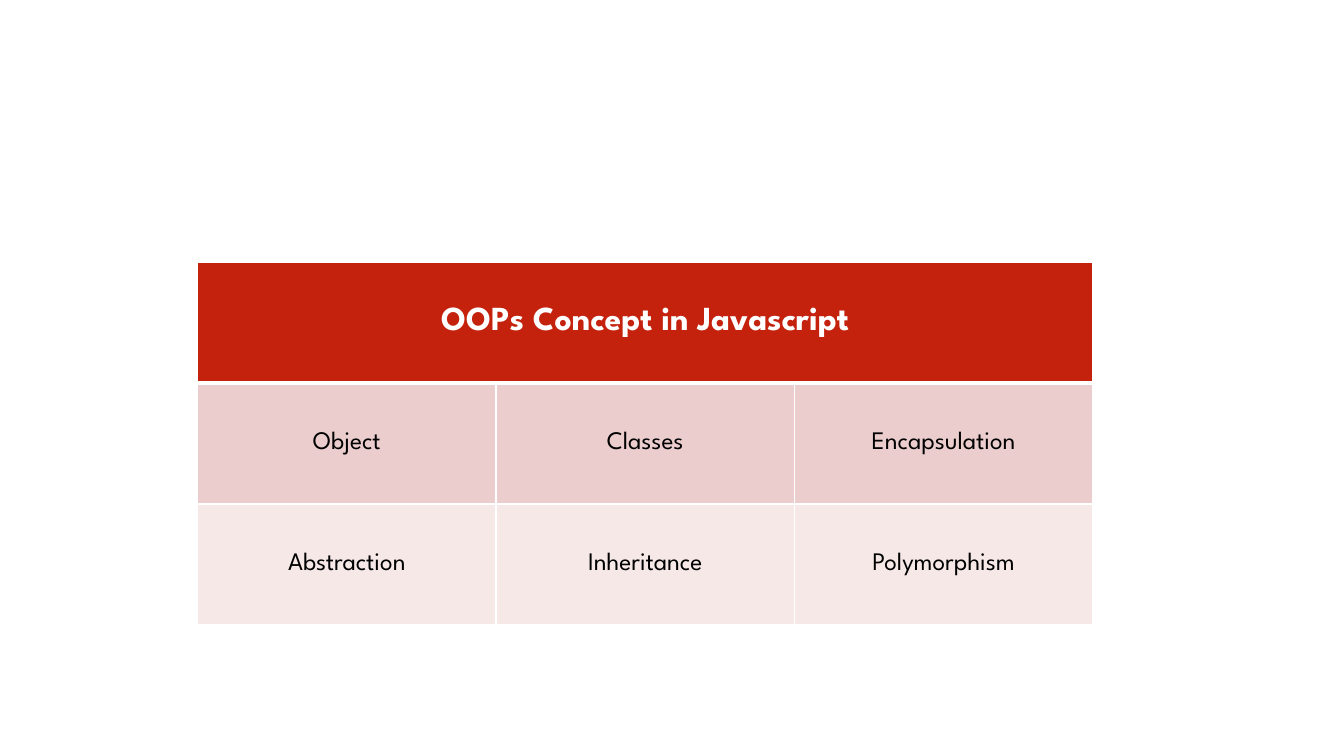
import pptx
import pptx.dml.color
import pptx.enum.text
import pptx.util
from pptx.oxml.ns import qn
from pptx.util import Inches
from lxml import etree

FONT = "League Spartan"
COLORS = {
    "header": "C4220D",
    "band_dark": "EACDCC",
    "band_light": "F5E8E7",
    "white": "FFFFFF",
    "black": "000000",
}
HEADING = "OOPs Concept in Javascript"
CONCEPTS = [
    ["Object", "Classes", "Encapsulation"],
    ["Abstraction", "Inheritance", "Polymorphism"],
]
BANDS = ["band_dark", "band_light"]
COL_WIDTH, ROW_HEIGHT = 2.96, 1.2


def rgb(name):
    return pptx.dml.color.RGBColor.from_string(COLORS[name])


def set_borders(cell, top=1, bottom=1):
    """Draw white borders; widths are in points."""
    tcPr = cell._tc.get_or_add_tcPr()
    for side, width in (("L", 1), ("R", 1), ("T", top), ("B", bottom)):
        ln = etree.SubElement(tcPr, qn("a:ln" + side), w=str(pptx.util.Pt(width)))
        fill = etree.SubElement(ln, qn("a:solidFill"))
        etree.SubElement(fill, qn("a:srgbClr"), val=COLORS["white"])


def fill_cell(cell, color):
    cell.fill.solid()
    cell.fill.fore_color.rgb = rgb(color)


def write_cell(cell, text, size, color, bold=False):
    cell.vertical_anchor = pptx.enum.text.MSO_ANCHOR.MIDDLE
    p = cell.text_frame.paragraphs[0]
    p.alignment = pptx.enum.text.PP_ALIGN.CENTER
    r = p.add_run()
    r.text = text
    r.font.name = FONT
    r.font.size = pptx.util.Pt(size)
    r.font.bold = bold
    r.font.color.rgb = rgb(color)


def add_concept_table(s):
    rows, cols = len(CONCEPTS) + 1, len(CONCEPTS[0])
    table = s.shapes.add_table(
        rows, cols, Inches(1.96), Inches(2.6),
        Inches(COL_WIDTH * cols), Inches(ROW_HEIGHT * rows)).table
    for col in table.columns:
        col.width = Inches(COL_WIDTH)
    for row in table.rows:
        row.height = Inches(ROW_HEIGHT)

    # Heading across all columns
    for cell in table.rows[0].cells:
        set_borders(cell, bottom=3)
        fill_cell(cell, "header")
    heading = table.cell(0, 0)
    heading.merge(table.cell(0, cols - 1))
    write_cell(heading, HEADING, 24, "white", bold=True)

    # Concept rows in alternating tints
    for i, (names, band) in enumerate(zip(CONCEPTS, BANDS), start=1):
        for j, name in enumerate(names):
            cell = table.cell(i, j)
            set_borders(cell, top=3 if i == 1 else 1)
            fill_cell(cell, band)
            write_cell(cell, name, 18, "black")


def main():
    prs = pptx.Presentation()
    prs.slide_width, prs.slide_height = Inches(13.33), Inches(7.5)
    s = prs.slides.add_slide(prs.slide_layouts[6])
    s.background.fill.solid()
    s.background.fill.fore_color.rgb = rgb("white")
    add_concept_table(s)
    prs.save("out.pptx")


if __name__ == "__main__":
    main()
